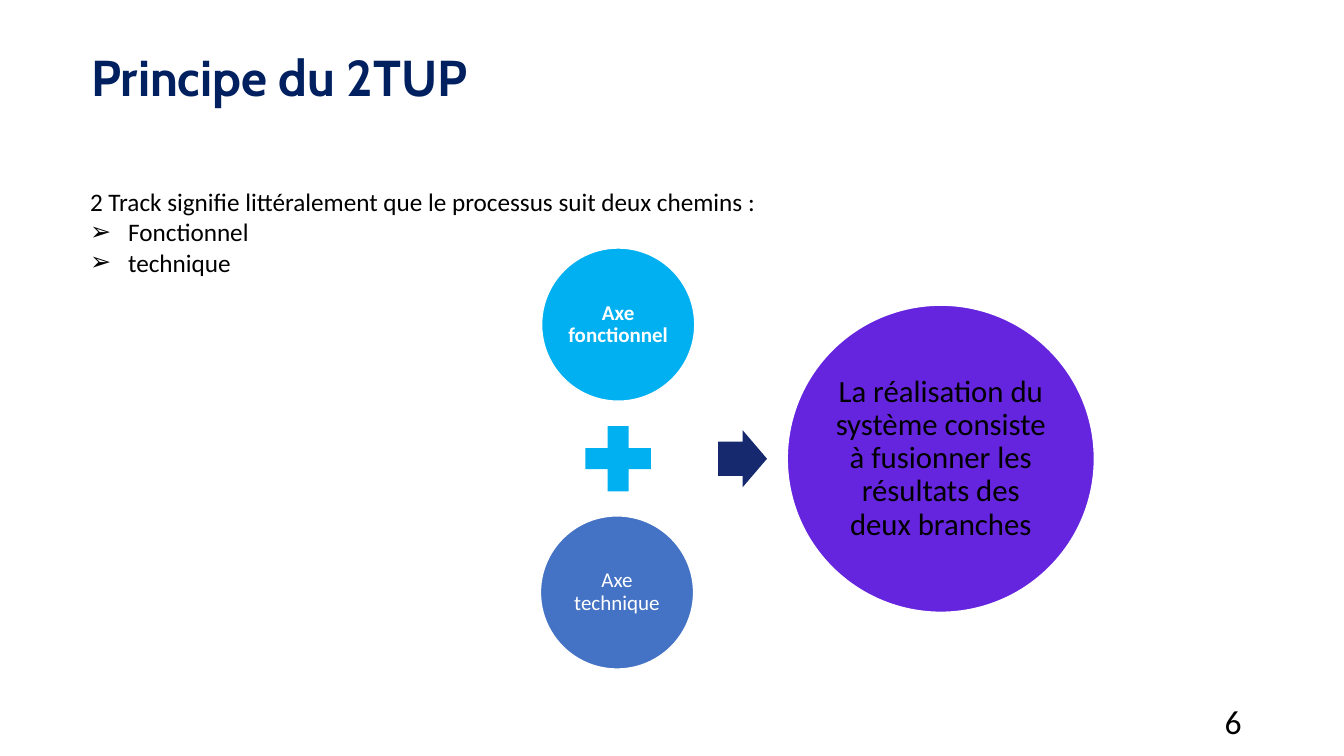
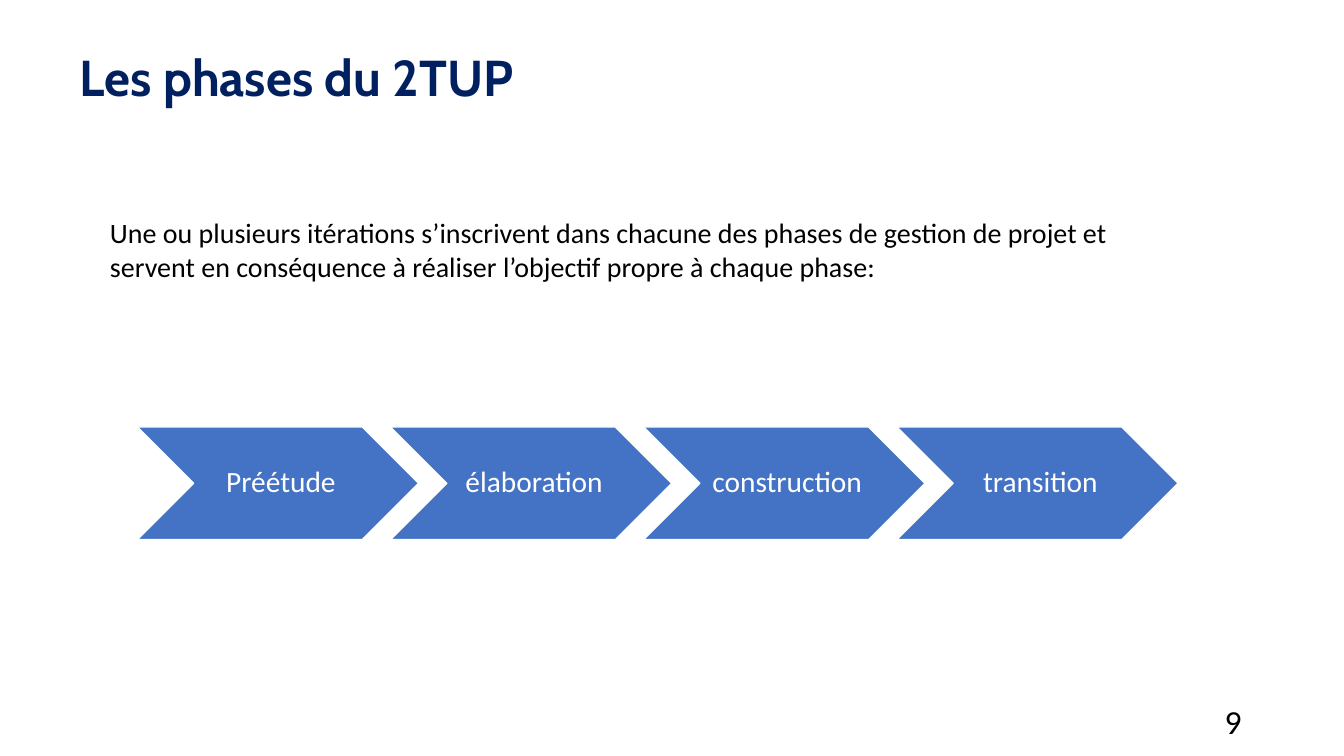
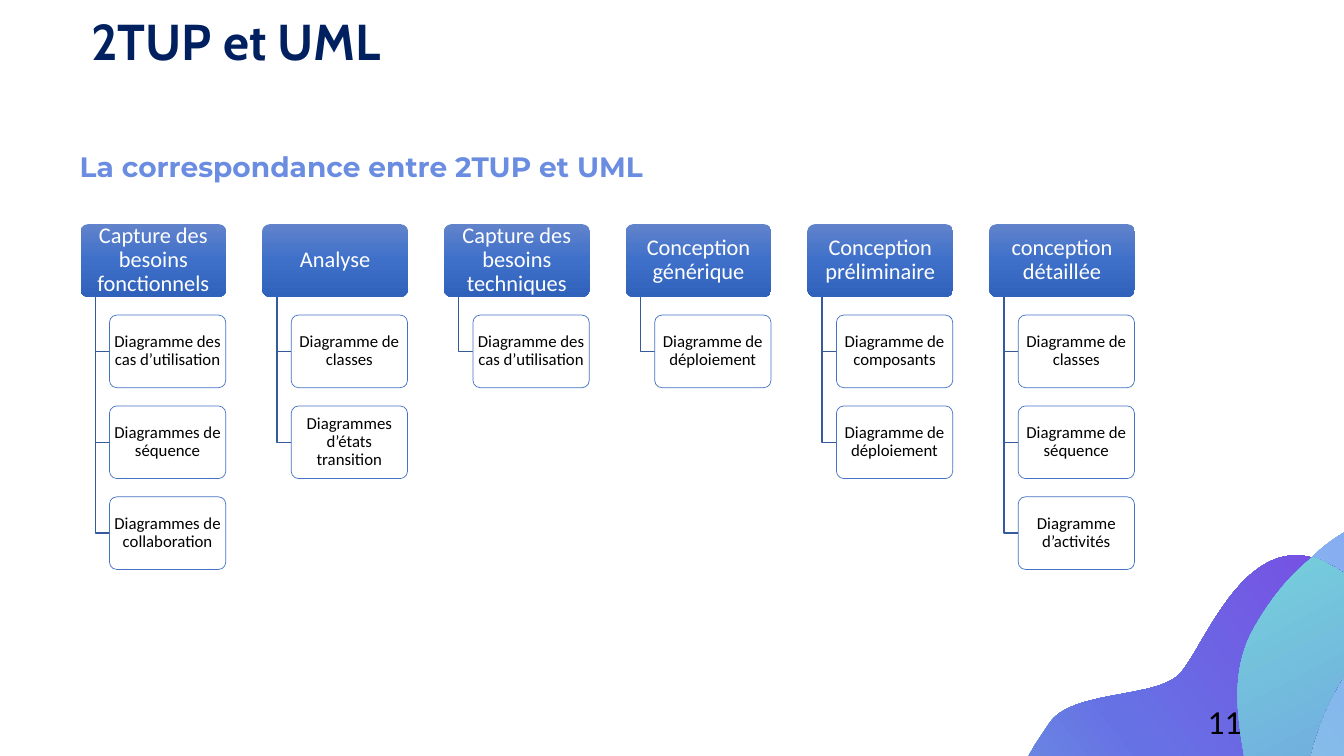
import dataclasses
import math

import lxml.etree
import pptx
import pptx.dml.color
import pptx.enum.shapes
import pptx.enum.text
import pptx.oxml
import pptx.oxml.ns
import pptx.util

Cm = pptx.util.Cm
Pt = pptx.util.Pt
Kind = pptx.enum.shapes.MSO_SHAPE
Align = pptx.enum.text.PP_ALIGN
Anchor = pptx.enum.text.MSO_ANCHOR
qn = pptx.oxml.ns.qn
child = lxml.etree.SubElement


@dataclasses.dataclass(frozen=True)
class Theme:
    body: str = "Calibri"
    head: str = "Cabin"
    accent: str = "Montserrat"
    white: str = "FFFFFF"
    black: str = "000000"
    navy: str = "002060"
    soft: str = "6B8DE1"
    blue: str = "4472C4"
    sky: str = "00B0F0"
    violet: str = "6524DE"
    arrow: str = "16286E"
    link: str = "365B9D"
    box: tuple = ((0, "6183CB"), (50, "3E70CA"), (100, "3062BB"))
    ice: tuple = ((0, "80DEDE"), (54, "85C1E7"), (100, "878CFF"))
    dusk: tuple = ((0, "7CEFD8"), (51, "6672E4"), (100, "882BE5"))
    lagoon: tuple = ((0, "882BE5"), (19, "6672E4"), (100, "7CEFD8"))
    title: int = 36
    page: int = 24
    goal: int = 22
    step: int = 21
    lead: int = 20
    text: int = 18
    group: int = 16
    axis: int = 15
    leaf: int = 12


THEME = Theme()
TILT = 52.2


def rgb(code):
    return pptx.dml.color.RGBColor.from_string(code)


class Deck:
    def __init__(self):
        self.file = pptx.Presentation()
        self.file.slide_width = Cm(33.87)
        self.file.slide_height = Cm(19.05)
        self.slide = None

    def start(self):
        self.slide = self.file.slides.add_slide(self.file.slide_layouts[6])

    def frame(self, shape, pads, anchor):
        frame = shape.text_frame
        frame.word_wrap = True
        frame.vertical_anchor = anchor
        (frame.margin_left, frame.margin_top,
         frame.margin_right, frame.margin_bottom) = [Cm(pad) for pad in pads]
        return frame

    def style(self, para, text, size, color, font=THEME.body, bold=False,
              align=Align.LEFT, space=None, left=0, hang=0):
        para.text = text
        para.alignment = align
        para.line_spacing = space
        para.font.name = font
        para.font.size = Pt(size)
        para.font.bold = bold
        para.font.color.rgb = rgb(color)
        if left:
            props = para._p.get_or_add_pPr()
            props.set("marL", str(Cm(left)))
            props.set("indent", str(Cm(-hang)))

    def label(self, area, text, size, color, pads=(0.25, 0.13, 0.25, 0.13),
              anchor=Anchor.TOP, **look):
        box = self.slide.shapes.add_textbox(*[Cm(v) for v in area])
        frame = self.frame(box, pads, anchor)
        self.style(frame.paragraphs[0], text, size, color, **look)
        return frame

    def title(self, area, text, left=0, sub=None):
        frame = self.label(area, text, THEME.title, THEME.navy, pads=(0,) * 4,
                           font=THEME.head, bold=True, space=Pt(40), left=left)
        if sub:
            para = frame.add_paragraph()
            self.style(para, sub, THEME.lead, THEME.soft, font=THEME.accent,
                       bold=True, space=Pt(40))
            para.space_before = Pt(40)

    def page(self, number):
        self.label((23.92, 17.65, 7.62, 1.02), str(number), THEME.page, THEME.black,
                   anchor=Anchor.MIDDLE, align=Align.RIGHT)

    def lead(self, area, text, size, items=()):
        frame = self.label(area, text, size, THEME.black, left=0.28)
        for item in items:
            para = frame.add_paragraph()
            self.style(para, item, size, THEME.black, left=1.24, hang=0.96)
            last = para._p.pPr.find(qn("a:defRPr"))
            last.addprevious(lxml.etree.Element(qn("a:buFont"), typeface=THEME.body))
            last.addprevious(lxml.etree.Element(qn("a:buChar"), char="➢"))

    def paint(self, shape, fill, line=None, width=1, angle=90):
        """Fill with one colour or with gradient stops; angle runs clockwise."""
        shape.shadow.inherit = False
        if fill is None:
            shape.fill.background()
        elif isinstance(fill, str):
            shape.fill.solid()
            shape.fill.fore_color.rgb = rgb(fill)
        else:
            shape.fill.gradient()
            grad = shape._element.spPr.find(qn("a:gradFill"))
            stops = grad.find(qn("a:gsLst"))
            for stop in list(stops):
                stops.remove(stop)
            for place, color in fill:
                stop = child(stops, qn("a:gs"), pos=str(place * 1000))
                child(stop, qn("a:srgbClr"), val=color)
            grad.find(qn("a:lin")).set("ang", str(angle * 60000))
        if line:
            shape.line.color.rgb = rgb(line)
            shape.line.width = Pt(width)
        else:
            shape.line.fill.background()

    def shape(self, kind, area, fill, text=None, size=None, color=THEME.white,
              bold=False, pads=(0.06,) * 4, adjust=(), line=None, width=1):
        item = self.slide.shapes.add_shape(kind, *[Cm(v) for v in area])
        for i, value in enumerate(adjust):
            item.adjustments[i] = value
        self.paint(item, fill, line, width)
        if text:
            frame = self.frame(item, pads, Anchor.MIDDLE)
            self.style(frame.paragraphs[0], text, size, color, bold=bold,
                       align=Align.CENTER, space=0.9)

    def outline(self, points, close=False):
        spots = [(Cm(x), Cm(y)) for x, y in points]
        pen = self.slide.shapes.build_freeform(*spots[0])
        pen.add_line_segments(spots[1:], close=close)
        return pen.convert_to_shape()

    def wave(self, area, nodes, fill, angle):
        """Draw a tilted, mirrored outline of cubic curves, in inches."""
        x, y, wide, high = area
        cos, sin = math.cos(math.radians(TILT)), math.sin(math.radians(TILT))
        spots = []
        for a, b in nodes:
            dx, dy = a - x - wide / 2, b - y - high / 2
            spots.append((2.54 * (wide / 2 + dx * cos + dy * sin),
                          2.54 * (high / 2 + dx * sin - dy * cos)))
        item = self.outline(spots, close=True)
        item.left, item.top, item.width, item.height = [Cm(2.54 * v) for v in area]
        item.rotation = TILT
        item._element.spPr.find(qn("a:xfrm")).set("flipV", "1")
        route = next(item._element.iter(qn("a:path")))
        for part in list(route):
            route.remove(part)
        route.set("w", str(item.width))
        route.set("h", str(item.height))
        for i, (a, b) in enumerate(spots):
            if i == 0:
                part = child(route, qn("a:moveTo"))
            elif i % 3 == 1:
                part = child(route, qn("a:cubicBezTo"))
            child(part, qn("a:pt"), x=str(Cm(a)), y=str(Cm(b)))
        child(route, qn("a:close"))
        self.paint(item, fill, angle=angle)

    def tree(self, x, y, head, leaves):
        high, step = 1.83, 2.29
        self.shape(Kind.ROUNDED_RECTANGLE, (x, y, 3.67, high), THEME.box, head,
                   THEME.group, adjust=(0.1,))
        for row, leaf in enumerate(leaves, 1):
            top = y + row * step
            mid = top + high / 2
            link = self.outline([(x + 0.37, y + high), (x + 0.37, mid),
                                 (x + 0.73, mid)])
            self.paint(link, None, THEME.link)
            self.shape(Kind.ROUNDED_RECTANGLE, (x + 0.73, top, 2.93, high),
                       THEME.white, leaf, THEME.leaf, THEME.black,
                       adjust=(0.1,), line=THEME.blue, width=0.5)


WAVES = (
    ((10.14, 5.26, 5.02, 6.67),
     ((11.34, 9.4), (13.57, 8.54), (11.91, 7.23), (12.59, 6.08),
      (13.28, 4.93), (14.05, 5.07), (14.27, 5.3),
      (14.49, 5.53), (14.54, 5.77), (14.21, 6.16),
      (13.87, 6.54), (14.55, 7.28), (15.02, 7.79),
      (15.48, 8.29), (15.65, 9.43), (14.54, 9.66),
      (13.43, 9.88), (13.49, 9.86), (12.94, 10.76),
      (12.41, 11.65), (11.76, 11.62), (11.76, 11.62),
      (11.76, 11.62), (10.69, 11.5), (10.55, 10.62),
      (10.4, 9.73), (11.34, 9.4), (11.34, 9.4)), THEME.ice, 90),
    ((9.54, 5.49, 5.07, 6.23),
     ((10.1, 10.76), (10.1, 10.76), (10.48, 11.63), (12.11, 11.07),
      (13.74, 10.51), (13.29, 8.9), (13.12, 8.33),
      (12.94, 7.76), (12.92, 7.61), (13.15, 7.05),
      (13.38, 6.5), (13.99, 6), (13.17, 5.59),
      (12.35, 5.18), (11.94, 6.47), (11.69, 6.7),
      (11.44, 6.93), (10.62, 6.85), (10.41, 7.18),
      (10.19, 7.52), (9.89, 7.79), (10.31, 8.97),
      (10.31, 8.97), (10.67, 9.51), (10.16, 10.14),
      (10.16, 10.14), (9.88, 10.51), (10.1, 10.76)), THEME.dusk, 90),
    ((10.23, 5.83, 4.38, 5.86),
     ((12.11, 11.07), (11.37, 11.32), (10.89, 11.28), (10.58, 11.17),
      (10.5, 11.05), (10.44, 10.91), (10.41, 10.74),
      (10.27, 9.85), (11.21, 9.53), (11.21, 9.53),
      (13.44, 8.66), (11.77, 7.35), (12.46, 6.2),
      (12.64, 5.89), (12.83, 5.68), (13.02, 5.53),
      (13.07, 5.54), (13.12, 5.56), (13.17, 5.59),
      (13.99, 6), (13.38, 6.5), (13.15, 7.05),
      (12.92, 7.6), (12.94, 7.76), (13.12, 8.33),
      (13.29, 8.9), (13.74, 10.51), (12.11, 11.07)), THEME.lagoon, 170),
)

TREES = (
    ("Capture des besoins fonctionnels",
     ("Diagramme des cas d’utilisation", "Diagrammes de séquence",
      "Diagrammes de collaboration")),
    ("Analyse", ("Diagramme de classes", "Diagrammes d’états transition")),
    ("Capture des besoins techniques", ("Diagramme des cas d’utilisation",)),
    ("Conception générique", ("Diagramme de déploiement",)),
    ("Conception préliminaire",
     ("Diagramme de composants", "Diagramme de déploiement")),
    ("conception détaillée",
     ("Diagramme de classes", "Diagramme de séquence", "Diagramme d’activités")),
)


def axes(deck):
    deck.start()
    deck.title((2.01, 1.27, 22.71, 1.96), "Principe du 2TUP", left=0.29)
    deck.shape(Kind.OVAL, (13.65, 6.25, 3.86, 3.86), THEME.sky, "Axe fonctionnel",
               THEME.axis, bold=True, line=THEME.white)
    deck.shape(Kind.MATH_PLUS, (14.46, 10.44, 2.24, 2.24), THEME.sky)
    deck.shape(Kind.OVAL, (13.62, 13, 3.86, 3.86), THEME.blue, "Axe technique",
               THEME.axis, line=THEME.white)
    deck.shape(Kind.RIGHT_ARROW, (18.1, 10.84, 1.23, 1.44), THEME.arrow,
               adjust=(0.6, 0.5))
    deck.shape(Kind.OVAL, (19.84, 7.69, 7.74, 7.74), THEME.violet,
               "La réalisation du système consiste à fusionner les résultats "
               "des deux branches", THEME.goal, THEME.black, line=THEME.white)
    deck.lead((1.74, 4.57, 25.98, 2.57),
              "2 Track signifie littéralement que le processus suit deux chemins :",
              THEME.text, ("Fonctionnel", "technique"))
    deck.page(6)


def phases(deck):
    deck.start()
    deck.title((2.01, 1.27, 22.81, 3.23), "Les phases du 2TUP")
    deck.lead((2.24, 5.3, 25.98, 2.82),
              "Une ou plusieurs itérations s’inscrivent dans chacune des phases de "
              "gestion de projet et servent en conséquence à réaliser l’objectif "
              "propre à chaque phase:", THEME.lead)
    names = ("Préétude", "élaboration", "construction", "transition")
    for i, name in enumerate(names):
        deck.shape(Kind.CHEVRON, (3.46 + i * 6.38, 10.76, 7.09, 2.84), THEME.blue,
                   name, THEME.step, pads=(0.23, 0.08, 0.08, 0.08),
                   line=THEME.white)
    deck.page(9)


def mapping(deck):
    deck.start()
    deck.title((2.01, 0.38, 27.79, 4.72), "2TUP et UML", left=0.29,
               sub="La correspondance entre 2TUP et UML")
    for area, nodes, fill, angle in WAVES:
        deck.wave(area, nodes, fill, angle)
    deck.page(11)
    for i, (head, leaves) in enumerate(TREES):
        deck.tree(2.03 + i * 4.58, 5.65, head, leaves)


def main():
    deck = Deck()
    axes(deck)
    phases(deck)
    mapping(deck)
    deck.file.save("out.pptx")


if __name__ == "__main__":
    main()
